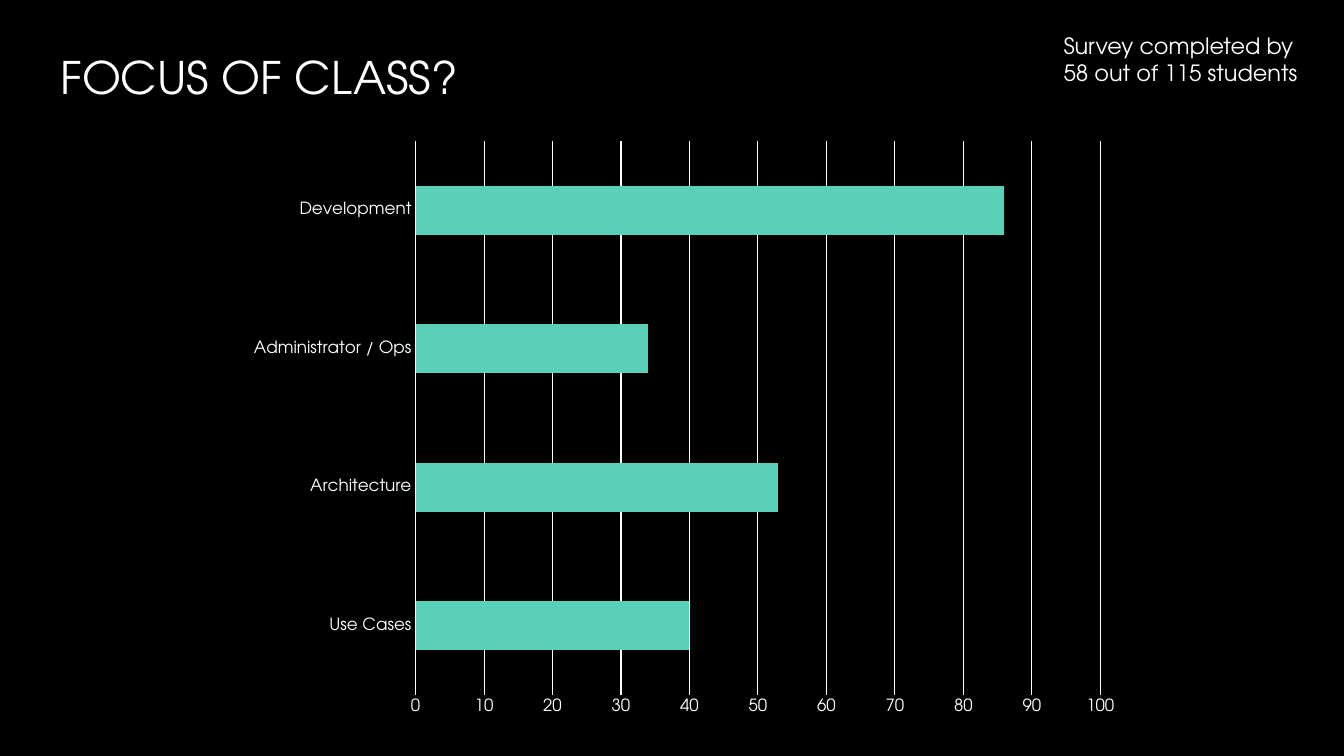
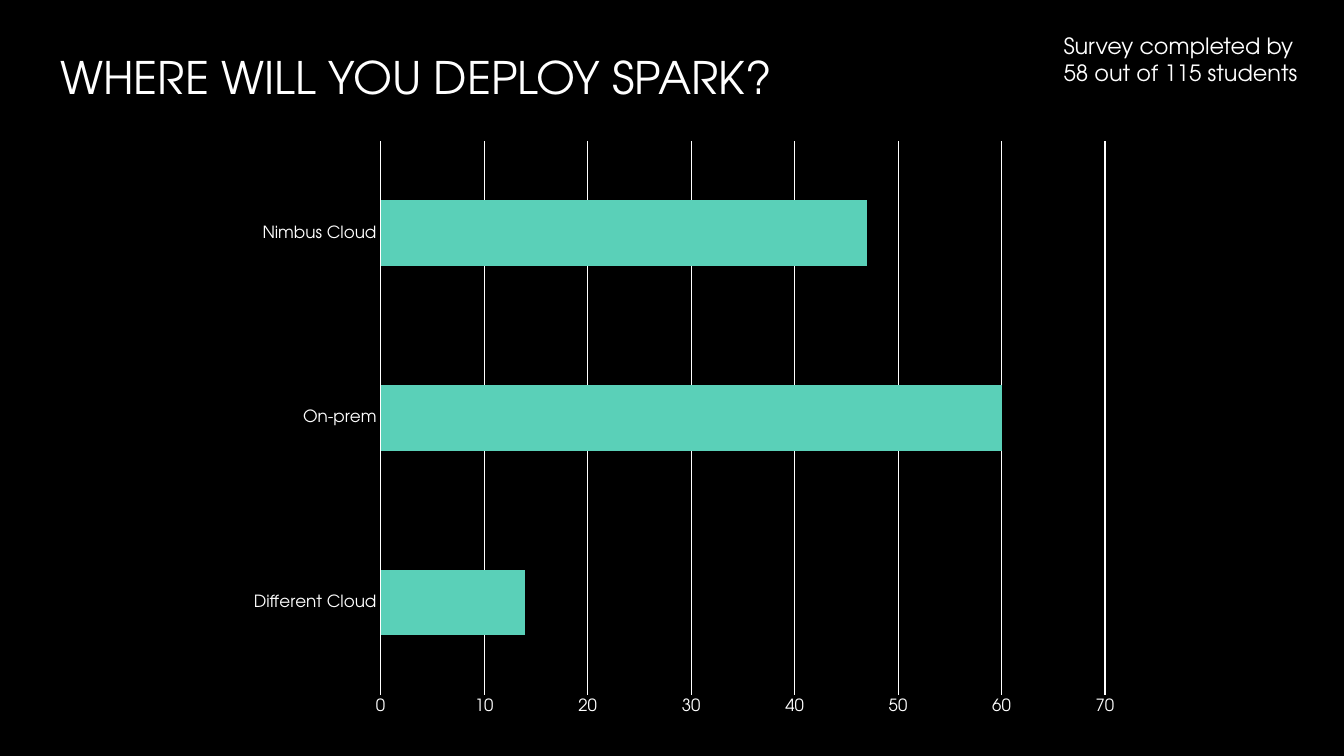
from dataclasses import dataclass

from pptx import Presentation
from pptx.chart.data import CategoryChartData
from pptx.dml.color import RGBColor
from pptx.enum.chart import XL_CHART_TYPE, XL_TICK_MARK
from pptx.util import Inches, Pt

BAR_CLUSTERED = XL_CHART_TYPE.BAR_CLUSTERED
NO_TICK = XL_TICK_MARK.NONE

# Content: categories run from the bottom bar to the top bar
SURVEY_NOTE = "Survey completed by 58 out of 115 students"
QUESTIONS = [
    {
        "title": "FOCUS OF CLASS?",
        "answers": {
            "Use Cases": 40,
            "Architecture": 53,
            "Administrator / Ops": 34,
            "Development": 86,
        },
        "axis_max": 100,
    },
    {
        "title": "WHERE WILL YOU DEPLOY SPARK?",
        "answers": {"Different Cloud": 14, "On-prem": 60, "Nimbus Cloud": 47},
        "axis_max": 70,
    },
]


# Shared look
@dataclass(frozen=True)
class Theme:
    font: str = "TeX Gyre Adventor"
    background: RGBColor = RGBColor(0x00, 0x00, 0x00)
    text: RGBColor = RGBColor(0xFF, 0xFF, 0xFF)
    bar: RGBColor = RGBColor(0x5A, 0xD0, 0xB8)
    title_size: Pt = Pt(32)
    note_size: Pt = Pt(16)
    axis_size: Pt = Pt(12)
    line_width: Pt = Pt(0.75)


THEME = Theme()
TITLE_BOX = (Inches(0.5), Inches(0.44), Inches(9), Inches(0.75))
NOTE_BOX = (Inches(10.45), Inches(0.27), Inches(2.61), Inches(0.64))
CHART_BOX = (Inches(2.34), Inches(1.28), Inches(8.89), Inches(5.93))


def style_font(font, size):
    font.name = THEME.font
    font.size = size
    font.color.rgb = THEME.text


def style_line(line):
    line.color.rgb = THEME.text
    line.width = THEME.line_width


def add_text(slide, box, text, size):
    frame = slide.shapes.add_textbox(*box).text_frame
    frame.word_wrap = True
    paragraph = frame.paragraphs[0]
    paragraph.text = text
    style_font(paragraph.font, size)


def add_bar_chart(slide, answers, axis_max):
    data = CategoryChartData()
    data.categories = list(answers)
    data.add_series("Series 1", list(answers.values()))
    chart = slide.shapes.add_chart(BAR_CLUSTERED, *CHART_BOX, data).chart
    chart.has_legend = False
    chart.has_title = False
    style_font(chart.font, THEME.axis_size)

    # Bars
    plot = chart.plots[0]
    plot.gap_width = 182
    plot.vary_by_categories = False
    fill = plot.series[0].format.fill
    fill.solid()
    fill.fore_color.rgb = THEME.bar

    # Axes
    for axis in (chart.category_axis, chart.value_axis):
        axis.major_tick_mark = NO_TICK
        axis.minor_tick_mark = NO_TICK
        style_font(axis.tick_labels.font, THEME.axis_size)
    style_line(chart.category_axis.format.line)
    value_axis = chart.value_axis
    value_axis.minimum_scale = 0
    value_axis.maximum_scale = axis_max
    value_axis.major_unit = 10
    value_axis.format.line.fill.background()
    style_line(value_axis.major_gridlines.format.line)


def main():
    presentation = Presentation()
    presentation.slide_width = Inches(13.33)
    presentation.slide_height = Inches(7.5)
    background = presentation.slide_master.background.fill
    background.solid()
    background.fore_color.rgb = THEME.background
    blank = presentation.slide_layouts[6]

    for question in QUESTIONS:
        slide = presentation.slides.add_slide(blank)
        add_bar_chart(slide, question["answers"], question["axis_max"])
        add_text(slide, TITLE_BOX, question["title"], THEME.title_size)
        add_text(slide, NOTE_BOX, SURVEY_NOTE, THEME.note_size)

    presentation.save("out.pptx")


if __name__ == "__main__":
    main()
